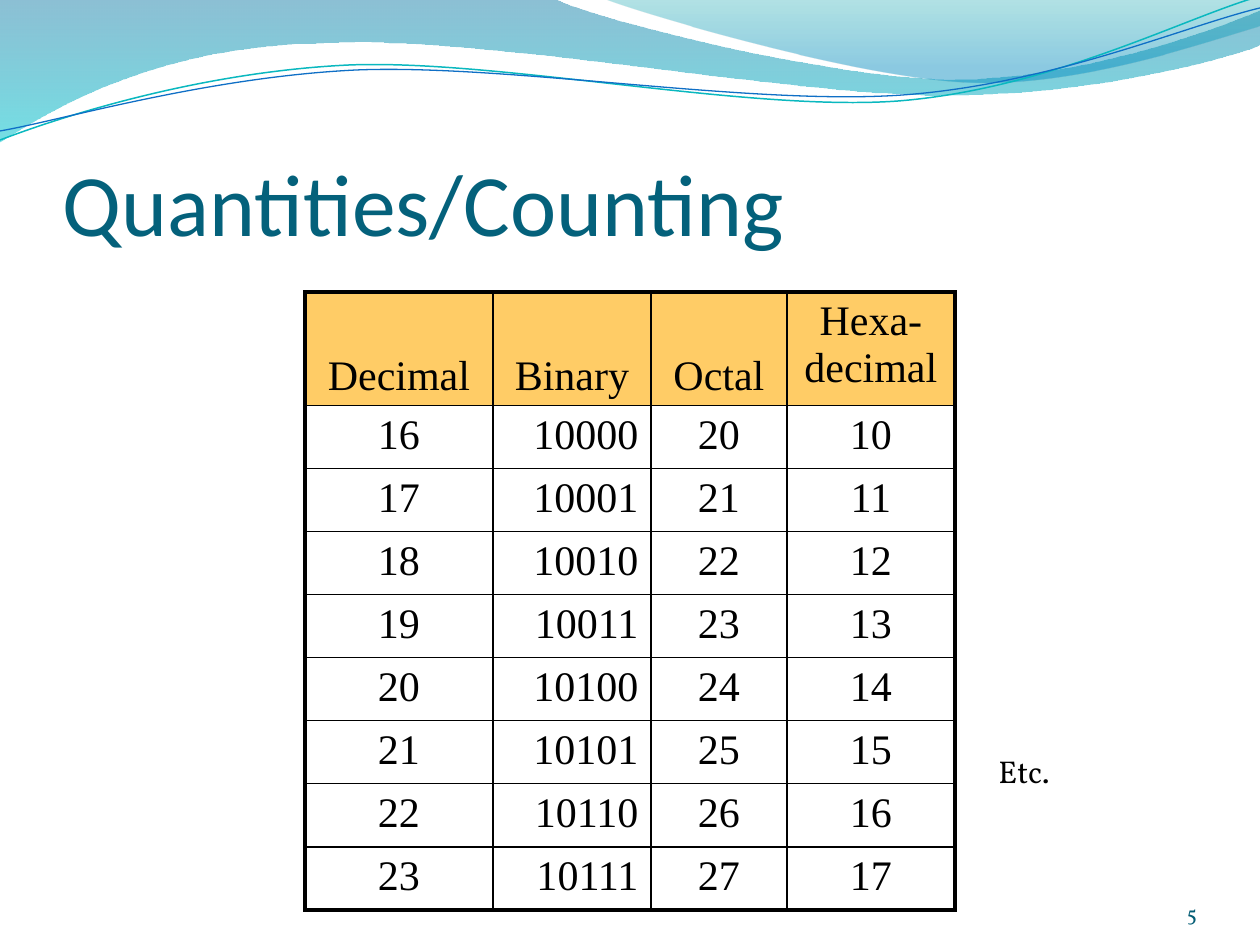
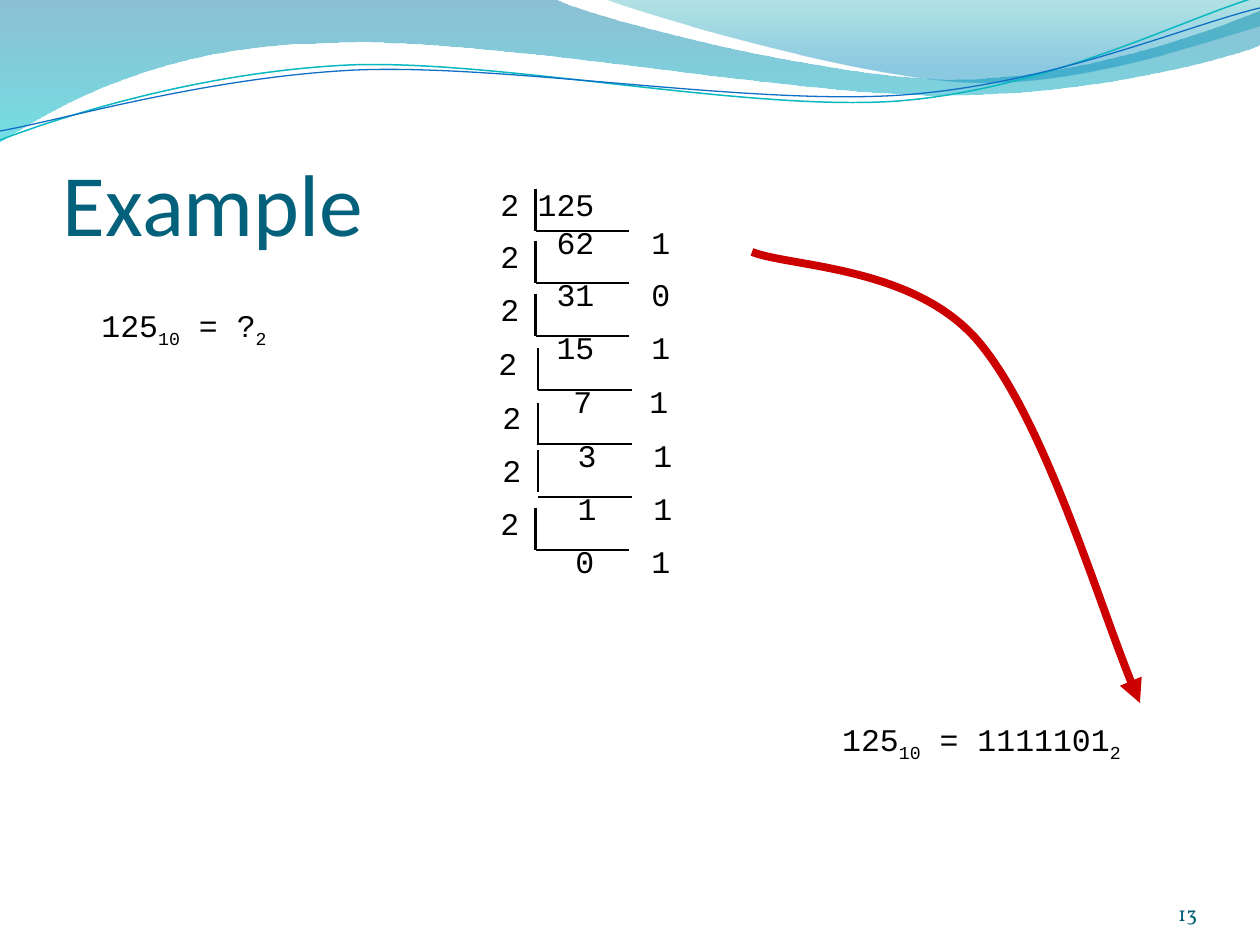
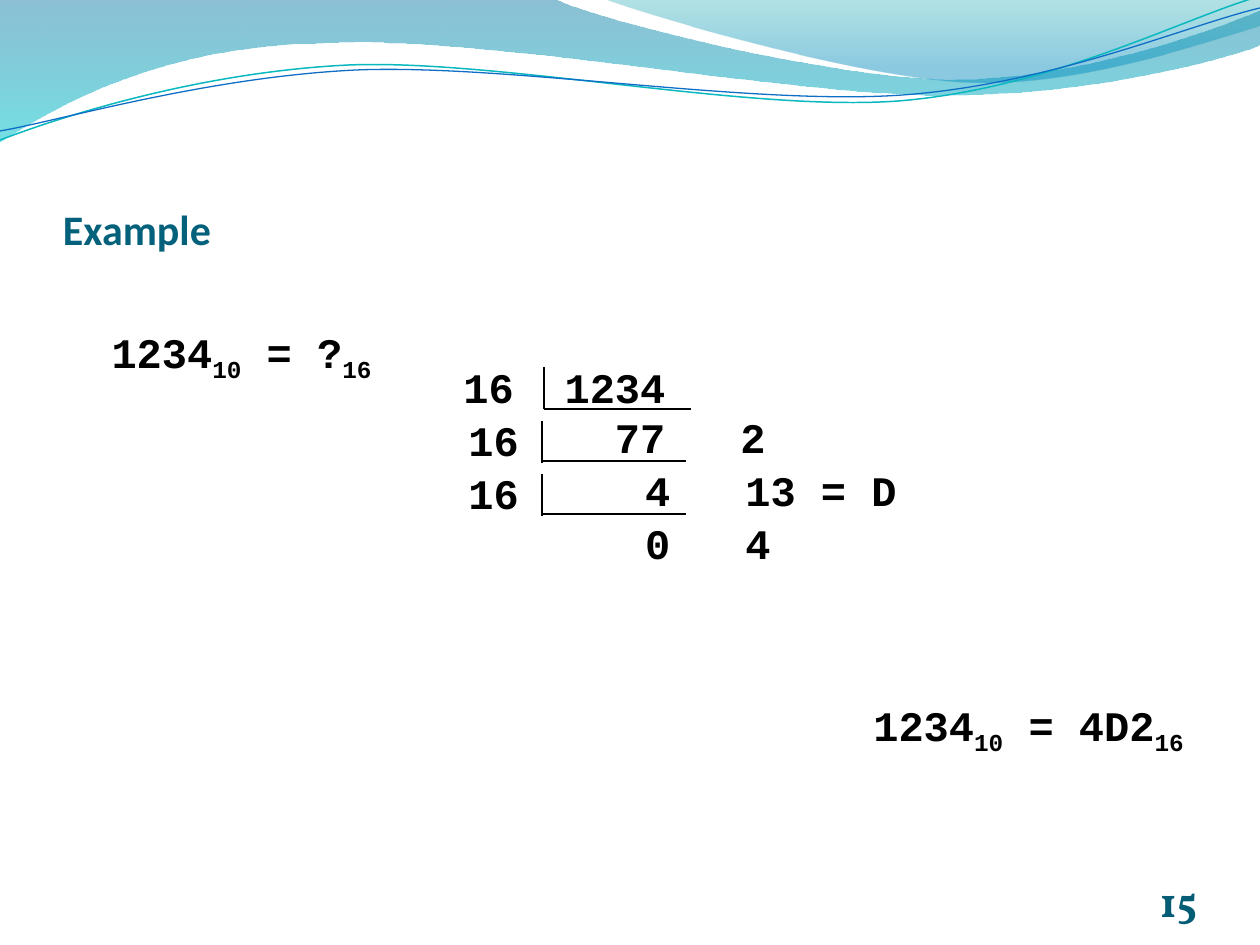
from lxml.etree import SubElement
from pptx import Presentation
from pptx.dml.color import RGBColor
from pptx.enum.shapes import MSO_CONNECTOR
from pptx.enum.text import MSO_ANCHOR, PP_ALIGN
from pptx.oxml.ns import qn
from pptx.util import Emu, Pt

EMU_PER_PIXEL = 914400 / 126
BLACK, TITLE_BLUE, NUMBER_BLUE = "000000", "04617B", "045D75"
HEADER_GOLD, ARROW_RED = "FFCC66", "CC0000"
TITLE_FONT, BODY_FONT, MONO_FONT, TABLE_FONT = (
    "Calibri", "Vollkorn", "Courier New", "Times New Roman")
TITLE_BOX = (63, 97, 1144, 157)
NUMBER_BOX = (1092, 876, 105, 50)

# Outlines: a pair is a straight step, six numbers are a Bezier step
BACK_WAVE = [(0, 0), (554, -1), (600, 21, 837, 79, 955, 79),
             (1075, 79, 1207, 33, 1260, 11), (1261, 45),
             (1239, 55, 1096, 96, 940, 95), (784, 95, 481, 35, 324, 43),
             (163, 45, 58, 105, -1, 142)]
FRONT_WAVE = [(604, -1), (641, 14, 859, 78, 969, 82),
              (1079, 87, 1211, 40, 1260, 26), (1260, 0)]
TEAL_STRAND = [(0, 140), (60, 117, 199, 72, 349, 65),
               (498, 59, 747, 112, 898, 101), (1049, 89, 1182, 19, 1257, -3)]
BLUE_STRAND = [(0, 131), (59, 121, 207, 77, 357, 70),
               (508, 64, 752, 106, 903, 95), (1053, 84, 1185, 26, 1260, 8)]
READING_ARROW = [(0, 0), (38, 15, 162, 14, 226, 89),
                 (291, 165, 354, 375, 388, 451)]


def px(length):
    return Emu(round(length * EMU_PER_PIXEL))


def color(hex_code):
    return RGBColor.from_string(hex_code)


def style_runs(paragraph, size, font, hex_code, bold=False):
    for run in paragraph.runs:
        run.font.size = Pt(size)
        run.font.name = font
        run.font.bold = bold
        run.font.color.rgb = color(hex_code)


def add_text(slide, box, text, size, font, hex_code=BLACK, bold=False,
             align=PP_ALIGN.LEFT, anchor=MSO_ANCHOR.TOP, insets=(12.6, 6.3) * 2,
             wrap=True):
    frame = slide.shapes.add_textbox(*map(px, box)).text_frame
    frame.word_wrap = wrap
    frame.vertical_anchor = anchor
    (frame.margin_left, frame.margin_top,
     frame.margin_right, frame.margin_bottom) = map(px, insets)
    frame.text = text
    for paragraph in frame.paragraphs:
        paragraph.alignment = align
        style_runs(paragraph, size, font, hex_code, bold)
    return frame


def add_outline(slide, outline, left=0, top=0, close=False):
    corners = [(px(left + step[-2]), px(top + step[-1])) for step in outline]
    builder = slide.shapes.build_freeform(*corners[0], scale=1.0)
    builder.add_line_segments(corners[1:], close=close)
    shape = builder.convert_to_shape()
    shape.shadow.inherit = False
    # Bend the Bezier steps
    segments = list(shape.element.iter(qn("a:lnTo")))
    for segment, step in zip(segments, outline[1:]):
        if len(step) == 6:
            curve = SubElement(segment.getparent(), qn("a:cubicBezTo"))
            for x, y in zip(step[::2], step[1::2]):
                SubElement(curve, qn("a:pt"), x=str(px(left + x) - shape.left),
                           y=str(px(top + y) - shape.top))
            segment.getparent().replace(segment, curve)
    return shape


def add_wave(slide, outline, stops):
    """Stops are (position, colour, opacity percent)."""
    wave = add_outline(slide, outline, close=True)
    wave.line.fill.background()
    wave.fill.gradient()
    wave.fill.gradient_angle = 270
    for stop, (position, hex_code, _) in zip(wave.fill.gradient_stops, stops):
        stop.position = position
        stop.color.rgb = color(hex_code)
    for tint, (_, _, opacity) in zip(wave.element.spPr.iter(qn("a:srgbClr")), stops):
        SubElement(tint, qn("a:alpha"), val=str(opacity * 1000))


def add_strand(slide, outline, hex_code, width, left=0, top=0):
    strand = add_outline(slide, outline, left, top)
    strand.fill.background()
    strand.line.color.rgb = color(hex_code)
    strand.line.width = Pt(width)
    return strand


def add_line(slide, start, end):
    line = slide.shapes.add_connector(
        MSO_CONNECTOR.STRAIGHT, *map(px, start), *map(px, end))
    line.line.color.rgb = color(BLACK)
    line.line.width = Pt(1.5)
    SubElement(line.element.spPr, qn("a:effectLst"))


def start_slide(deck, title, number, title_size=50, number_size=12, bold=False):
    slide = deck.slides.add_slide(deck.slide_layouts[6])
    # Wave band
    add_wave(slide, BACK_WAVE, [(0, "0074A1", 45), (1, "00C6CF", 55)])
    add_wave(slide, FRONT_WAVE, [(0, "00A1A9", 30), (0.8, "008BBF", 45)])
    add_strand(slide, TEAL_STRAND, "0AB8BF", 0.85)
    add_strand(slide, BLUE_STRAND, "0F6FC6", 0.75)
    # Title and slide number
    add_text(slide, TITLE_BOX, title, title_size, TITLE_FONT, TITLE_BLUE, bold,
             anchor=MSO_ANCHOR.BOTTOM, insets=(0, 6.3, 0, 0))
    add_text(slide, NUMBER_BOX, str(number), number_size, BODY_FONT, NUMBER_BLUE,
             bold, PP_ALIGN.RIGHT, MSO_ANCHOR.BOTTOM, (0, 0, 0, 0))
    return slide


def add_borders(cell, widths):
    properties = cell._tc.get_or_add_tcPr()
    for position, (side, width) in enumerate(widths.items()):
        border = SubElement(properties, qn("a:" + side), w=str(Pt(width)))
        fill = SubElement(border, qn("a:solidFill"))
        SubElement(fill, qn("a:srgbClr"), val=BLACK)
        properties.remove(border)
        properties.insert(position, border)


def add_counting_table(slide, left, top):
    headers = ["Decimal", "Binary", "Octal", "Hexa-\vdecimal"]
    rows = [headers] + [[str(n), f"{n:b}", f"{n:o}", f"{n:x}"]
                        for n in range(16, 24)]
    widths = [188, 158, 136, 168]
    heights = [113] + [62.4] * 8
    table = slide.shapes.add_table(
        len(rows), len(widths), px(left), px(top),
        px(sum(widths)), px(sum(heights))).table
    table.first_row = table.horz_banding = False
    for column, width in zip(table.columns, widths):
        column.width = px(width)
    for row, height in zip(table.rows, heights):
        row.height = px(height)
    last_row, last_column = len(rows) - 1, len(widths) - 1
    for r, values in enumerate(rows):
        for c, value in enumerate(values):
            cell = table.cell(r, c)
            if r == 0:
                cell.fill.solid()
                cell.fill.fore_color.rgb = color(HEADER_GOLD)
            else:
                cell.fill.background()
            low_header = r == 0 and c < last_column
            cell.vertical_anchor = MSO_ANCHOR.BOTTOM if low_header else MSO_ANCHOR.TOP
            paragraph = cell.text_frame.paragraphs[0]
            paragraph.text = value
            paragraph.alignment = PP_ALIGN.RIGHT if r and c == 1 else PP_ALIGN.CENTER
            style_runs(paragraph, 24, TABLE_FONT, BLACK)
            add_borders(cell, {"lnL": 1 if c else 2.25,
                               "lnR": 2.25 if c == last_column else 1,
                               "lnT": 1 if r else 2.25,
                               "lnB": 2.25 if r == last_row else 1})


def add_equation(slide, box, parts, size, bold=False):
    """Every second part is a subscript."""
    frame = add_text(slide, box, "", size, MONO_FONT)
    paragraph = frame.paragraphs[0]
    paragraph.alignment = PP_ALIGN.CENTER
    for i, part in enumerate(parts):
        run = paragraph.add_run()
        run.text = part
        if i % 2:
            run._r.get_or_add_rPr().set("baseline", "-25000")
    style_runs(paragraph, size, MONO_FONT, BLACK, bold)


def add_division_step(slide, box, text, tabs, size, bracket, bold=False):
    """Tabs: right edge of the quotient, left edge of the remainder.
    Bracket: offsets of its stem and foot, and the foot's length."""
    left, top = box[:2]
    frame = add_text(slide, box, text, size, MONO_FONT, bold=bold)
    for paragraph in frame.paragraphs:
        stops = SubElement(paragraph._p.get_or_add_pPr(), qn("a:tabLst"))
        for position, align in zip(tabs, ("r", "l")):
            SubElement(stops, qn("a:tab"), pos=str(px(position)), algn=align)
    stem, stem_top, foot, length = bracket
    x = left + stem
    add_line(slide, (x, top + stem_top), (x, top + stem_top + 42))
    add_line(slide, (x, top + foot), (x + length, top + foot))


def add_binary_division(slide, left, top):
    # Shift right, drop, stem offset, stem top
    places = [(0, 0, 47.5, 10), (0, 52, 47.5, 10), (0, 105, 47.5, 10),
              (-2, 159, 52, 10), (2, 213, 48, 11), (2, 266, 48, 5),
              (0, 319, 47.5, 10)]
    number = 125
    for i, (shift, drop, stem, stem_top) in enumerate(places):
        first = "2" if i else f"2\t{number}"
        number, remainder = divmod(number, 2)
        add_division_step(slide, (left + shift, top + drop, 284, 113),
                          f"{first}\v\t{number}\t{remainder}", (94, 151), 18,
                          (stem, stem_top, 52, 94))


def add_hex_division(slide, left, top):
    # Shift right, box width, bracket, remainder
    steps = [(0, 340, (93, 12, 54, 147), "2"),
             (5, 489, (86, 13, 53, 144), "13 = D"),
             (5, 489, (86, 13, 53, 144), "4")]
    number = 1234
    for i, (shift, width, bracket, remainder) in enumerate(steps):
        first = "16" if i else f"16\t{number}"
        number //= 16
        add_division_step(slide, (left + shift, top + 53 * i, width, 115),
                          f"{first}\n\t{number}\t{remainder}", (202, 277), 24,
                          bracket, bold=True)


def add_reading_arrow(slide, left, top):
    arrow = add_strand(slide, READING_ARROW, ARROW_RED, 4.5, left, top)
    SubElement(arrow.element.spPr.find(qn("a:ln")), qn("a:tailEnd"), type="triangle")


def build_counting_slide(deck):
    slide = start_slide(deck, "Quantities/Counting", 5)
    add_counting_table(slide, 305, 292)
    add_text(slide, (986, 746, 92, 63), "Etc.", 18, BODY_FONT, wrap=False)


def build_binary_slide(deck):
    slide = start_slide(deck, "Example", 13)
    add_binary_division(slide, 488, 179)
    add_equation(slide, (756, 714, 451, 63), ["125", "10", " = 1111101", "2"], 18)
    add_reading_arrow(slide, 752, 252)
    add_equation(slide, (42, 300, 284, 63), ["125", "10", " = ?", "2"], 18)


def build_hex_slide(deck):
    slide = start_slide(deck, "Example", 15, 24, 24, bold=True)
    add_equation(slide, (42, 320, 399, 63), ["1234", "10", " = ?", "16"], 24, True)
    add_equation(slide, (829, 693, 399, 63), ["1234", "10", " = 4D2", "16"], 24, True)
    add_hex_division(slide, 451, 355)


deck = Presentation()
deck.slide_width, deck.slide_height = px(1260), px(945)
build_counting_slide(deck)
build_binary_slide(deck)
build_hex_slide(deck)
deck.save("out.pptx")
